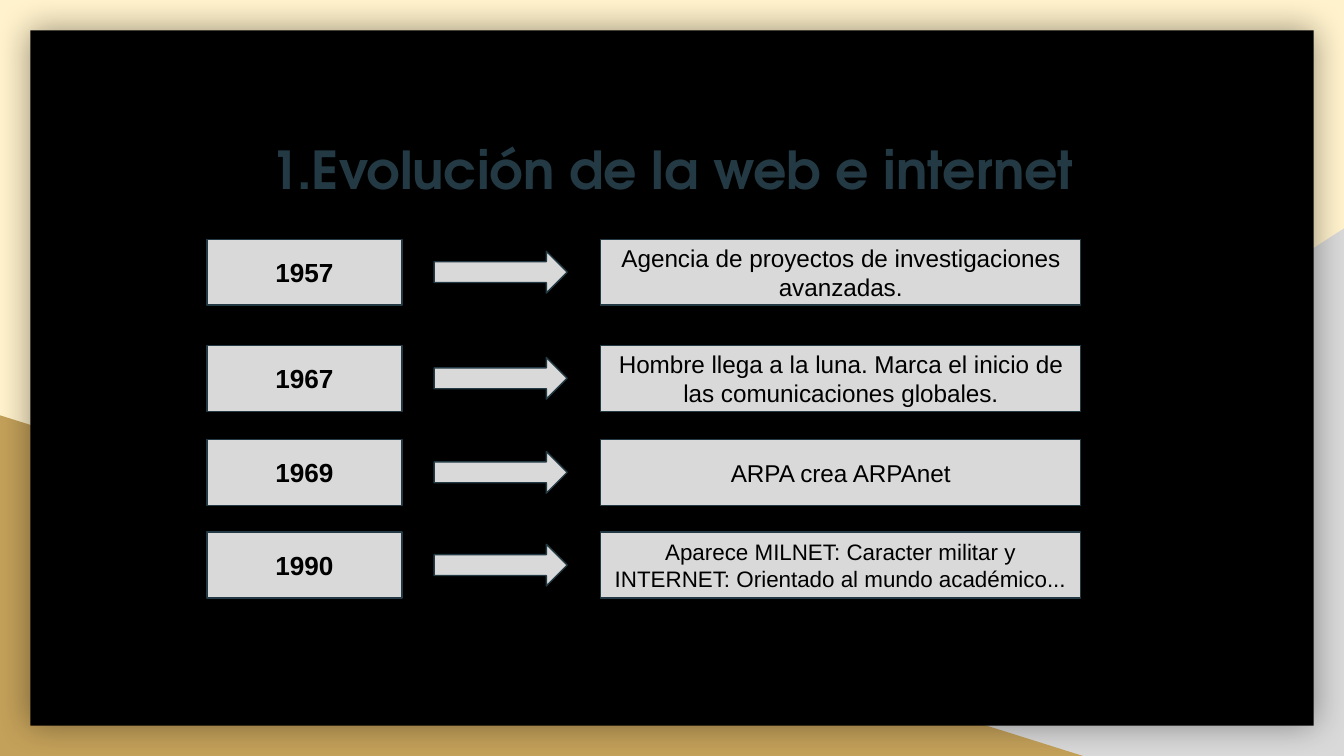
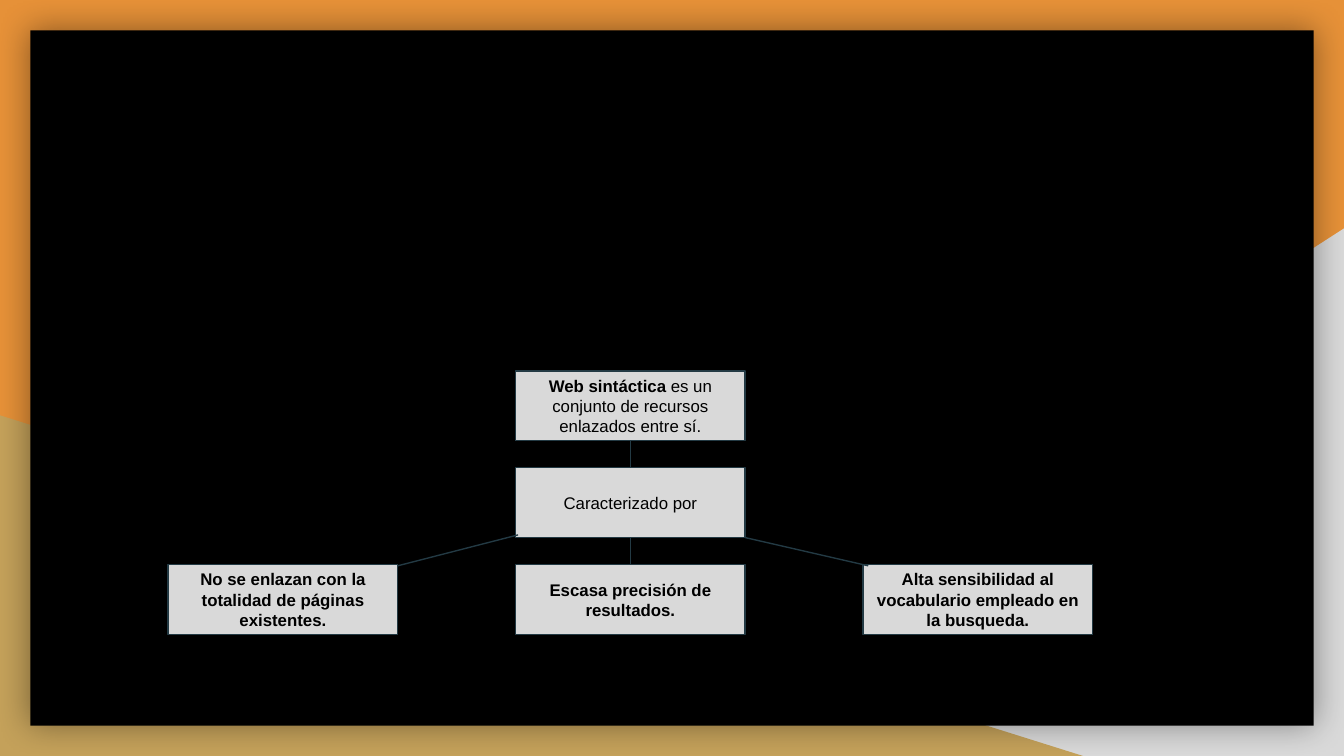
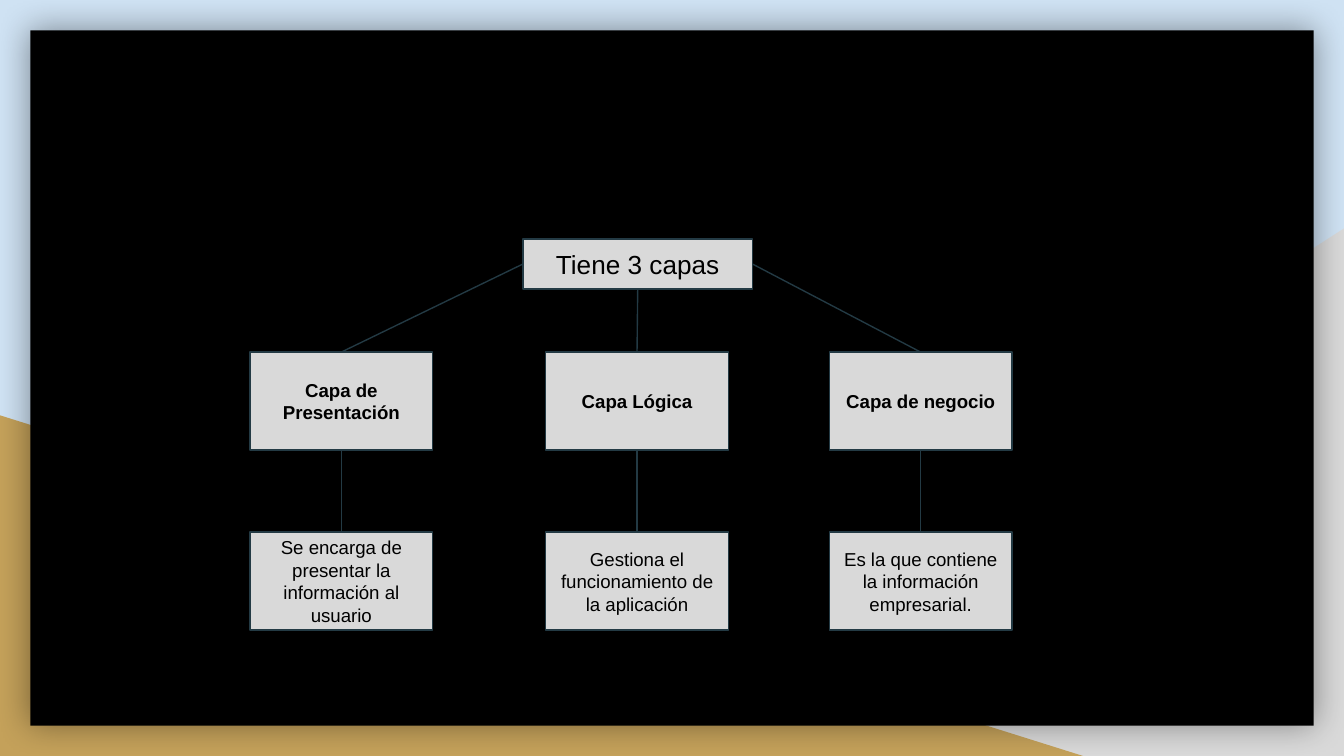
from dataclasses import dataclass

from lxml.etree import SubElement
from pptx import Presentation
from pptx.dml.color import RGBColor
from pptx.enum.shapes import MSO_CONNECTOR, MSO_SHAPE
from pptx.enum.text import MSO_ANCHOR, PP_ALIGN
from pptx.oxml.ns import qn
from pptx.util import Inches, Pt

COLUMNS, ROWS = 100, 56.25
TOP, LEFT, BOTTOM, RIGHT = range(4)


@dataclass(frozen=True)
class Theme:
    ink: str = "233A44"
    text: str = "000000"
    card: str = "000000"
    box: str = "D9D9D9"
    gold: str = "C4A15A"
    cream: str = "FFF2CC"
    orange: str = "E69138"
    sky: str = "CFE2F3"
    title_font: str = "TeX Gyre Adventor"
    body_font: str = "Arial"
    title_size: float = 28
    heading_size: float = 14
    event_size: float = 13
    long_event_size: float = 12
    layer_size: float = 10
    trait_size: float = 9
    outline: float = 0.75
    shadow_blur: float = 18
    shadow_opacity: int = 40


THEME = Theme()


def grid(*cells):
    return [Inches(cell / 10) for cell in cells]


def rgb(colour):
    return RGBColor.from_string(colour)


def style_text(paragraph, font, size, colour, bold):
    paragraph.alignment = PP_ALIGN.CENTER
    paragraph.font.name = font
    paragraph.font.size = Pt(size)
    paragraph.font.color.rgb = rgb(colour)
    paragraph.font.bold = bold


def add_block(slide, kind, area, fill, outlined=False):
    block = slide.shapes.add_shape(kind, *grid(*area))
    block.shadow.inherit = False
    block.fill.solid()
    block.fill.fore_color.rgb = rgb(fill)
    if outlined:
        block.line.color.rgb = rgb(THEME.ink)
        block.line.width = Pt(THEME.outline)
    else:
        block.line.fill.background()
    return block


def add_glow(card):
    effects = card.element.spPr.find(qn("a:effectLst"))
    shadow = SubElement(effects, qn("a:outerShdw"), blurRad=str(Pt(THEME.shadow_blur)),
                        dist="0", dir="0", algn="ctr", rotWithShape="0")
    tint = SubElement(shadow, qn("a:srgbClr"), val=THEME.card)
    SubElement(tint, qn("a:alpha"), val=str(THEME.shadow_opacity * 1000))


def add_framed_slide(deck, backdrop):
    slide = deck.slides.add_slide(deck.slide_layouts[6])
    slide.background.fill.solid()
    slide.background.fill.fore_color.rgb = rgb(backdrop)
    right_corner = add_block(slide, MSO_SHAPE.RIGHT_TRIANGLE,
                             (39.2, 17, 60.8, ROWS - 17), THEME.box)
    right_corner.element.spPr.xfrm.set("flipH", "1")
    add_block(slide, MSO_SHAPE.RIGHT_TRIANGLE, (0, 30.9, 80.6, ROWS - 30.9), THEME.gold)
    margin = 2.25
    card = add_block(slide, MSO_SHAPE.RECTANGLE,
                     (margin, margin, COLUMNS - 2 * margin, ROWS - 2 * margin), THEME.card)
    add_glow(card)
    return slide


def add_title(slide, text):
    title = slide.shapes.add_textbox(*grid(9, 9.2, 82, 6.8)).text_frame
    title.word_wrap = True
    title.margin_left = title.margin_right = 0
    title.margin_top = title.margin_bottom = Inches(0.1)
    title.text = text
    style_text(title.paragraphs[0], THEME.title_font, THEME.title_size, THEME.ink, True)


def add_box(slide, area, text, size, bold=False, plain_ending=""):
    box = add_block(slide, MSO_SHAPE.RECTANGLE, area, THEME.box, outlined=True)
    frame = box.text_frame
    frame.word_wrap = True
    frame.vertical_anchor = MSO_ANCHOR.MIDDLE
    frame.margin_left = frame.margin_right = Inches(0.1)
    frame.margin_top = frame.margin_bottom = Inches(0.1)
    frame.text = text
    style_text(frame.paragraphs[0], THEME.body_font, size, THEME.text, bold)
    if plain_ending:
        ending = frame.paragraphs[0].add_run()
        ending.text = plain_ending
        ending.font.bold = False
    return box


def add_line(slide, *ends):
    line = slide.shapes.add_connector(MSO_CONNECTOR.STRAIGHT, *grid(*ends))
    line.line.color.rgb = rgb(THEME.ink)
    line.line.width = Pt(THEME.outline)
    SubElement(line.element.spPr, qn("a:effectLst"))
    return line


def link(slide, parent, child, side=BOTTOM):
    line = add_line(slide, 0, 0, 0, 0)
    line.begin_connect(parent, side)
    line.end_connect(child, TOP)


def build_timeline(deck):
    slide = add_framed_slide(deck, THEME.cream)
    add_title(slide, "1.Evolución de la web e internet")
    events = [
        (17.8, "1957", "Agencia de proyectos de investigaciones avanzadas.", THEME.event_size),
        (25.7, "1967", "Hombre llega a la luna. Marca el inicio de las comunicaciones globales.",
         THEME.event_size),
        (32.7, "1969", "ARPA crea ARPAnet", THEME.event_size),
        (39.6, "1990", "Aparece MILNET: Caracter militar y INTERNET: Orientado al mundo académico...",
         THEME.long_event_size),
    ]
    for top, year, event, size in events:
        add_box(slide, (15.4, top, 14.5, 4.9), year, THEME.heading_size, bold=True)
        add_block(slide, MSO_SHAPE.RIGHT_ARROW, (32.3, top + 0.9, 9.9, 3.1),
                  THEME.box, outlined=True)
        add_box(slide, (44.7, top, 35.7, 4.9), event, size)


def build_syntactic_web(deck):
    slide = add_framed_slide(deck, THEME.orange)
    width, height = 17.1, 5.2
    lefts = [12.5 + 25.85 * column for column in range(3)]
    tops = [27.6 + 7.2 * row for row in range(3)]
    definition = add_box(slide, (lefts[1], tops[0], width, height), "Web sintáctica",
                         THEME.trait_size, bold=True,
                         plain_ending=" es un conjunto de recursos enlazados entre sí.")
    hub = add_box(slide, (lefts[1], tops[1], width, height), "Caracterizado por", THEME.trait_size)
    traits = ["No se enlazan con la totalidad de páginas existentes.",
              "Escasa precisión de resultados.",
              "Alta sensibilidad al vocabulario empleado en la busqueda."]
    trait_boxes = [add_box(slide, (left, tops[2], width, height), trait, THEME.trait_size, bold=True)
                   for left, trait in zip(lefts, traits)]
    link(slide, definition, hub)
    link(slide, hub, trait_boxes[1])
    hub_bottom = tops[1] + height
    add_line(slide, lefts[1] + 0.2, hub_bottom - 0.2, lefts[0] + width, tops[2] + 0.1)
    add_line(slide, lefts[1] + width, hub_bottom, lefts[2] + 0.4, tops[2] + 0.1)


def build_layers(deck):
    slide = add_framed_slide(deck, THEME.sky)
    root = add_box(slide, (38.9, 17.8, 17.1, 3.7), "Tiene 3 capas", THEME.heading_size)
    layers = [
        (18.6, LEFT, "Capa de Presentación", "Se encarga de presentar la información al usuario"),
        (40.6, BOTTOM, "Capa Lógica", "Gestiona el funcionamiento de la aplicación"),
        (61.7, RIGHT, "Capa de negocio", "Es la que contiene la información empresarial."),
    ]
    for left, side, layer, role in layers:
        layer_box = add_box(slide, (left, 26.2, 13.6, 7.3), layer, THEME.layer_size, bold=True)
        role_box = add_box(slide, (left, 39.6, 13.6, 7.3), role, THEME.layer_size)
        link(slide, root, layer_box, side)
        link(slide, layer_box, role_box)


def main():
    deck = Presentation()
    deck.slide_width, deck.slide_height = grid(COLUMNS, ROWS)
    build_timeline(deck)
    build_syntactic_web(deck)
    build_layers(deck)
    deck.save("out.pptx")


if __name__ == "__main__":
    main()
